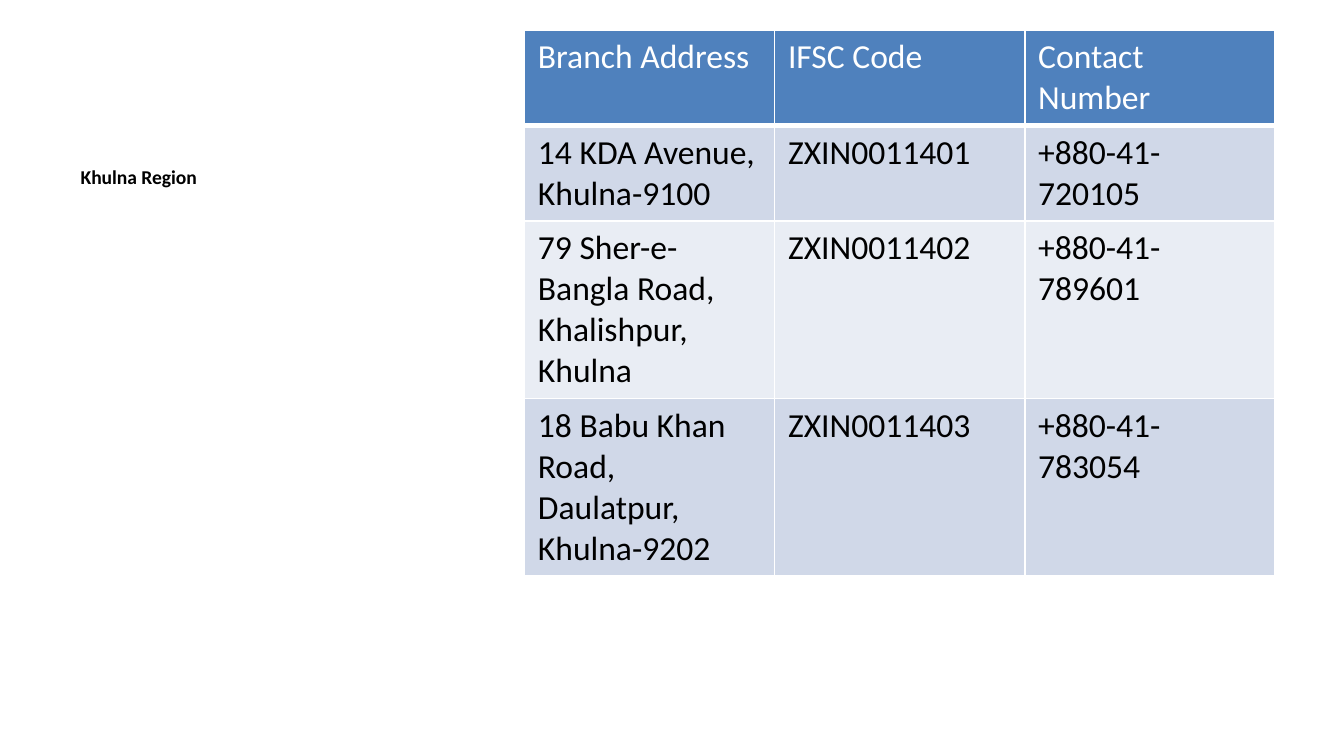
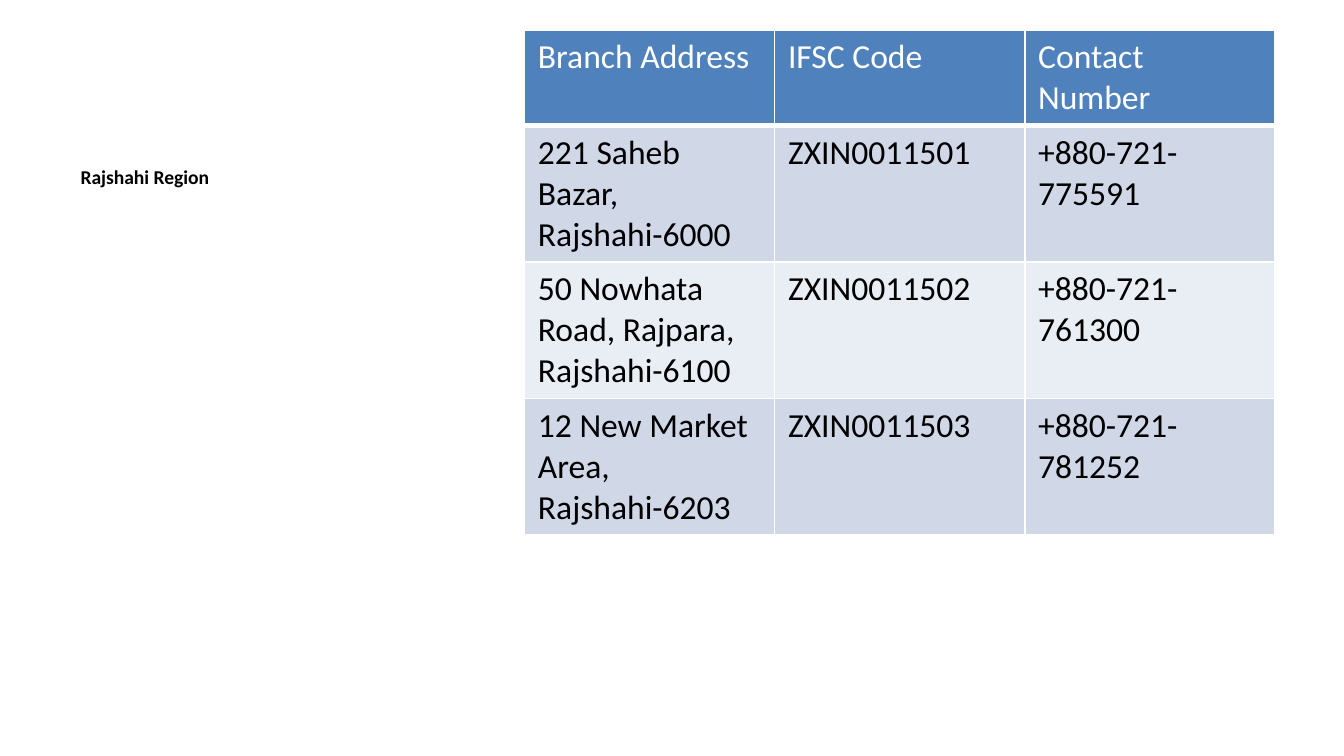
from dataclasses import dataclass

from pptx import Presentation, util as u
from pptx.dml.color import RGBColor
from pptx.enum import text
from pptx.oxml import parse_xml
from pptx.oxml.ns import nsdecls

Pt = u.Pt

# Shared look
FONT = "Calibri"
WHITE, BLACK = "FFFFFF", "000000"
HEAD, BANDS = "4F81BD", ("D0D8E8", "E9EDF4")
LABELS = ("Branch Address", "IFSC Code", "Contact Number")
LEFT, TOP, COL = 281, 16, 134
LINE, PAD = 21.9, 7.2


@dataclass
class Branch:
    address: str
    code: str
    phone: str
    lines: int


@dataclass
class Region:
    name: str
    rows: list[Branch]


REGIONS = [
    Region("Khulna Region", [
        Branch("14 KDA Avenue, Khulna-9100", "ZXIN0011401", "+880-41-720105", 2),
        Branch("79 Sher-e-Bangla Road, Khalishpur, Khulna", "ZXIN0011402",
               "+880-41-789601", 4),
        Branch("18 Babu Khan Road, Daulatpur, Khulna-9202", "ZXIN0011403",
               "+880-41-783054", 4),
    ]),
    Region("Rajshahi Region", [
        Branch("221 Saheb Bazar, Rajshahi-6000", "ZXIN0011501", "+880-721-775591", 3),
        Branch("50 Nowhata Road, Rajpara, Rajshahi-6100", "ZXIN0011502",
               "+880-721-761300", 3),
        Branch("12 New Market Area, Rajshahi-6203", "ZXIN0011503",
               "+880-721-781252", 3),
    ]),
]


def color(code: str) -> RGBColor:
    return RGBColor.from_string(code)


def add_run(para, words: str, size: float, tint: str, bold: bool = False) -> None:
    run = para.add_run()
    run.text = words
    font = run.font
    font.name, font.size, font.bold = FONT, Pt(size), bold
    font.color.rgb = color(tint)


def add_name(slide, name: str) -> None:
    """Put the region name in the body and drop the unused placeholders."""
    for holder in list(slide.placeholders):
        if holder.placeholder_format.idx != 2:
            holder.element.getparent().remove(holder.element)
    body = slide.placeholders[2]
    body.left, body.top, body.width, body.height = Pt(36), Pt(85), Pt(237), Pt(277)
    frame = body.text_frame
    frame.word_wrap = True
    frame.vertical_anchor = text.MSO_ANCHOR.TOP
    para = frame.paragraphs[0]
    para.space_before = Pt(0)
    add_run(para, name, 10.5, BLACK, True)


def set_cell(cell, words: str, fill: str, tint: str, base: float) -> None:
    # Borders come before the fill in the cell properties
    props = cell._tc.get_or_add_tcPr()
    for side, width in (("L", 1), ("R", 1), ("T", 1), ("B", base)):
        props.append(parse_xml(
            f'<a:ln{side} {nsdecls("a")} w="{Pt(width)}"><a:solidFill>'
            f'<a:srgbClr val="{WHITE}"/></a:solidFill></a:ln{side}>'))
    cell.fill.solid()
    cell.fill.fore_color.rgb = color(fill)
    add_run(cell.text_frame.paragraphs[0], words, 18, tint)


def add_grid(slide, rows: list[Branch]) -> None:
    full = [Branch(*LABELS, 2), *rows]
    tall = [row.lines * LINE + PAD for row in full]
    count = len(LABELS)
    grid = slide.shapes.add_table(len(full), count, Pt(LEFT), Pt(TOP),
                                  Pt(COL * count), Pt(sum(tall))).table
    for col in grid.columns:
        col.width = Pt(COL)
    for r, row in enumerate(full):
        grid.rows[r].height = Pt(tall[r])
        look = (BANDS[(r - 1) % 2], BLACK, 1) if r else (HEAD, WHITE, 3)
        for c, words in enumerate((row.address, row.code, row.phone)):
            set_cell(grid.cell(r, c), words, *look)


def main() -> None:
    deck = Presentation()
    deck.slide_width, deck.slide_height = Pt(720), Pt(405)
    # One slide per region, on the caption layout
    for region in REGIONS:
        slide = deck.slides.add_slide(deck.slide_layouts[7])
        add_name(slide, region.name)
        add_grid(slide, region.rows)
    deck.save("out.pptx")


if __name__ == "__main__":
    main()
